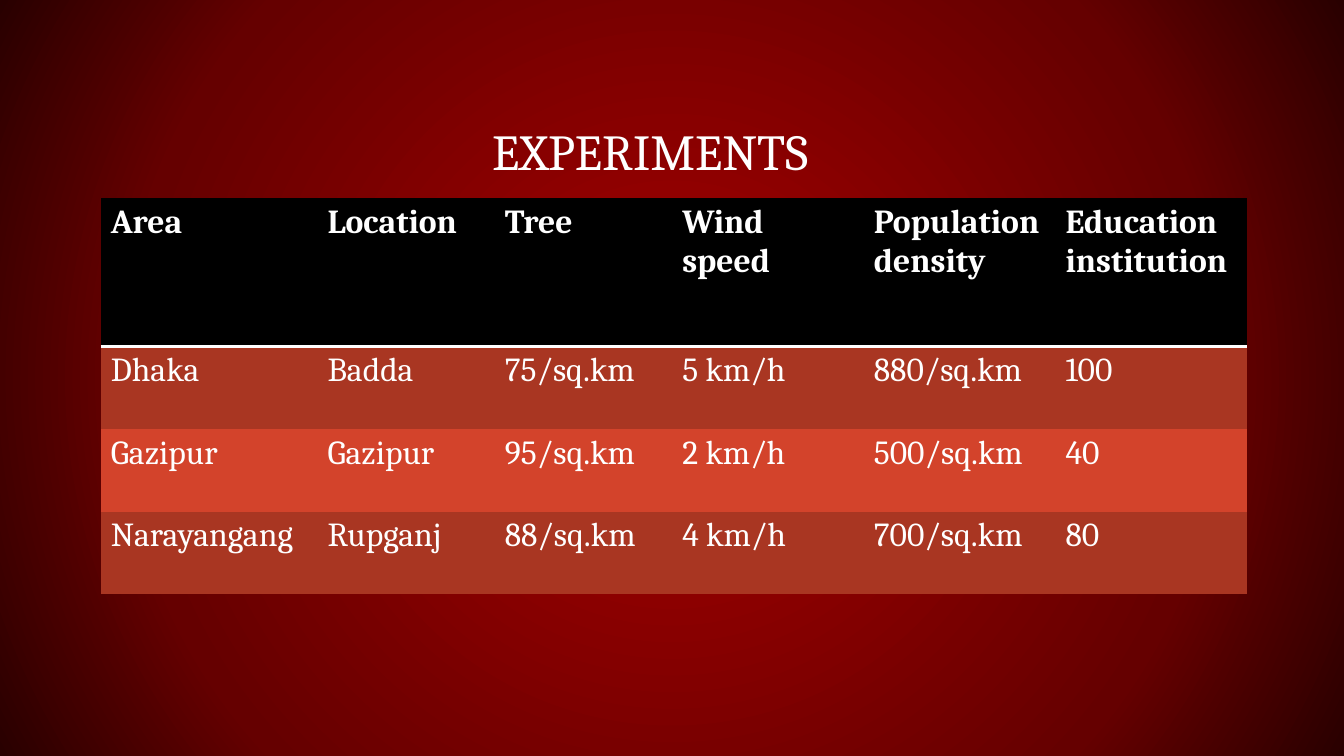
from pptx import Presentation
from pptx.dml.color import RGBColor
from pptx.enum.text import MSO_ANCHOR, PP_ALIGN
from pptx.oxml import parse_xml
from pptx.oxml.ns import nsdecls, qn
from pptx.util import Cm, Pt

BOTTOM = MSO_ANCHOR.BOTTOM
CENTER = PP_ALIGN.CENTER

WHITE = RGBColor(0xFF, 0xFF, 0xFF)
BLACK = RGBColor(0x00, 0x00, 0x00)
DARK_RED = RGBColor(0xA9, 0x36, 0x22)
BRIGHT_RED = RGBColor(0xD3, 0x43, 0x2B)
GLOW_STOPS = [
    (17, RGBColor(0x96, 0x00, 0x00)),
    (71, RGBColor(0x65, 0x00, 0x00)),
    (100, RGBColor(0x29, 0x00, 0x00)),
]

FONT = "Cambria"
NO_STYLE = "{2D5ABB26-0587-4C30-8999-92F81FD0307C}"

COLUMN_WIDTHS = [5.46, 4.47, 4.47, 4.83, 4.83, 4.83]
ROW_HEIGHTS = [3.73, 2.08, 2.08, 2.08]
EXPERIMENTS = [
    ["Area", "Location", "Tree", "Wind speed", "Population density",
     "Education\ninstitution"],
    ["Dhaka", "Badda", "75/sq.km", "5 km/h", "880/sq.km", "100"],
    ["Gazipur", "Gazipur", "95/sq.km", "2 km/h", "500/sq.km", "40"],
    ["Narayangang", "Rupganj", "88/sq.km", "4 km/h", "700/sq.km", "80"],
]


def set_glow_background(slide):
    slide.background.fill.gradient()
    gradient = slide.element.find(".//" + qn("a:gradFill"))
    stops = "".join(
        f'<a:gs pos="{percent * 1000}"><a:srgbClr val="{color}"/></a:gs>'
        for percent, color in GLOW_STOPS
    )
    glow = parse_xml(
        f'<a:gradFill {nsdecls("a")} rotWithShape="1"><a:gsLst>{stops}</a:gsLst>'
        '<a:path path="circle">'
        '<a:fillToRect l="50000" t="50000" r="50000" b="50000"/>'
        "</a:path></a:gradFill>"
    )
    gradient.getparent().replace(gradient, glow)


def style_paragraph(paragraph, size, bold=False):
    font = paragraph.font
    font.name = FONT
    font.size = Pt(size)
    font.bold = bold
    font.color.rgb = WHITE


def add_title(slide, text):
    title = slide.shapes.add_textbox(Cm(2.54), Cm(1.35), Cm(28.78), Cm(3.38))
    frame = title.text_frame
    frame.word_wrap = True
    frame.vertical_anchor = BOTTOM
    frame.margin_left = Cm(0.33)
    frame.margin_right = Cm(1.42)
    frame.margin_top = frame.margin_bottom = Cm(0.18)
    heading = frame.paragraphs[0]
    heading.text = text
    heading.alignment = CENTER
    heading.line_spacing = 0.8
    style_paragraph(heading, 36)


def add_bottom_border(cell, color, width):
    border = parse_xml(
        f'<a:lnB {nsdecls("a")} w="{Pt(width)}"><a:solidFill>'
        f'<a:srgbClr val="{color}"/></a:solidFill></a:lnB>'
    )
    cell.fill.solid()
    cell.fill.fore_color.rgb = BLACK
    cell._tc.tcPr.insert(0, border)


def fill_cell(cell, text, color, bold):
    cell.text = text
    cell.fill.solid()
    cell.fill.fore_color.rgb = color
    for paragraph in cell.text_frame.paragraphs:
        style_paragraph(paragraph, 24, bold)


def add_experiment_table(slide):
    frame = slide.shapes.add_table(
        len(ROW_HEIGHTS), len(COLUMN_WIDTHS), Cm(2.54), Cm(5),
        Cm(sum(COLUMN_WIDTHS)), Cm(sum(ROW_HEIGHTS)),
    )
    table = frame.table
    table._tbl.find(".//" + qn("a:tableStyleId")).text = NO_STYLE
    for column, width in zip(table.columns, COLUMN_WIDTHS):
        column.width = Cm(width)
    for index, (row, height) in enumerate(zip(table.rows, ROW_HEIGHTS)):
        row.height = Cm(height)
        is_header = index == 0
        band = DARK_RED if index % 2 else BRIGHT_RED
        for cell, text in zip(row.cells, EXPERIMENTS[index]):
            fill_cell(cell, text, BLACK if is_header else band, is_header)
            if is_header:
                add_bottom_border(cell, WHITE, 2)


def main():
    presentation = Presentation()
    presentation.slide_width = Cm(33.87)
    presentation.slide_height = Cm(19.05)
    slide = presentation.slides.add_slide(presentation.slide_layouts[6])
    set_glow_background(slide)
    add_title(slide, "EXPERIMENTS")
    add_experiment_table(slide)
    presentation.save("out.pptx")


main()
